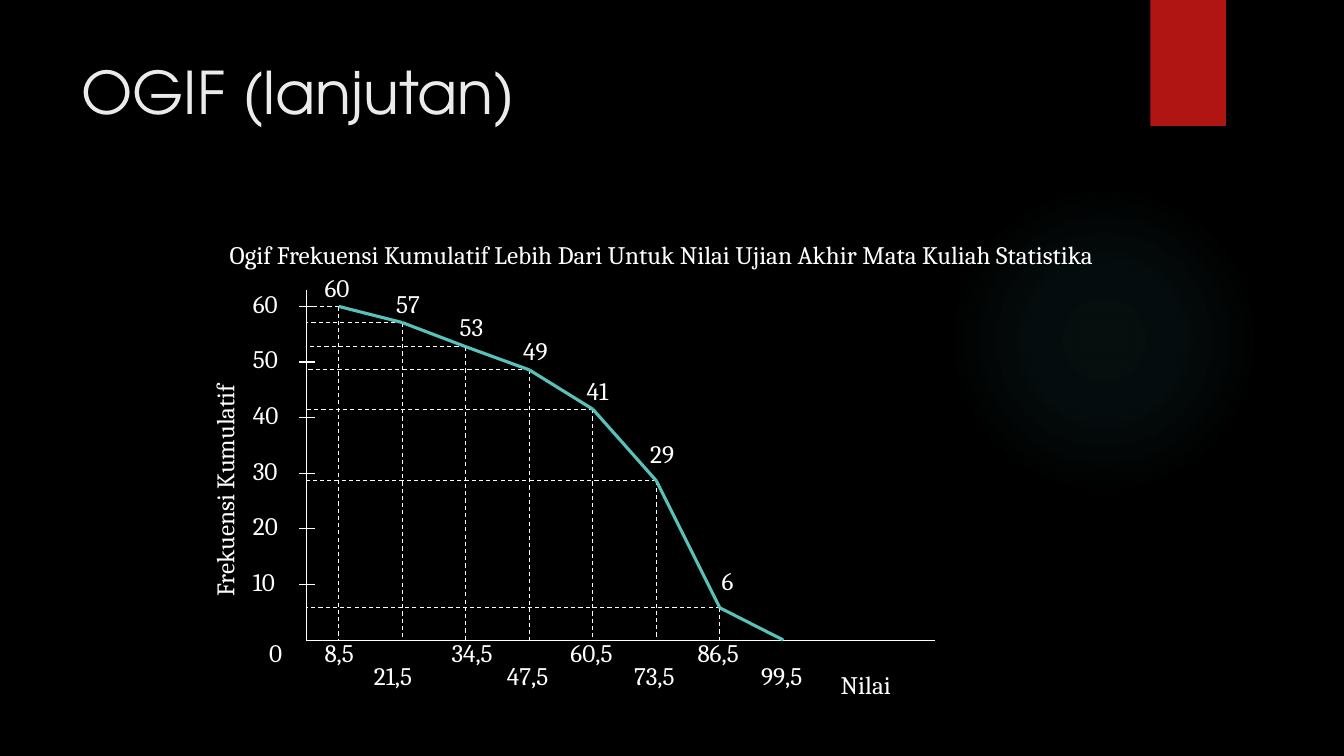
from itertools import pairwise

from lxml import etree
from pptx import Presentation
from pptx.dml.color import RGBColor
from pptx.enum import dml, shapes, text
from pptx.oxml import parse_xml
from pptx.oxml.ns import nsdecls, qn
from pptx.util import Inches, Pt

BLACK = RGBColor(0x00, 0x00, 0x00)
WHITE = RGBColor(0xFF, 0xFF, 0xFF)
PALE = RGBColor(0xEB, 0xEB, 0xEB)
RED = RGBColor(0xB0, 0x15, 0x13)
TEAL = RGBColor(0x58, 0xC1, 0xBA)
GLOW = RGBColor(0x50, 0xB9, 0xC1)

AXIS_X, AXIS_Y = 3.04, 6.35
FIRST_X, STEP_X = 3.36, 0.63
TICK_GAP = 3.31 / 6
LABEL_H = 0.4

POINTS = [
    ("60", 3.04, 3.12, 2.65),
    ("57", 3.20, 3.83, 2.81),
    ("53", 3.44, 4.46, 3.04),
    ("49", 3.67, 5.09, 3.28),
    ("41", 4.06, 5.72, 3.67),
    ("29", 4.77, 6.35, 4.30),
    ("6", 6.03, 7.06, 5.56),
]
BOUNDS = [("8,5", 3.12), ("21,5", 3.61), ("34,5", 4.38), ("47,5", 4.93),
          ("60,5", 5.56), ("73,5", 6.19), ("86,5", 6.82), ("99,5", 7.45)]


def format_run(r, font="Cambria", size=18, color=WHITE):
    r.font.name = font
    r.font.size = Pt(size)
    r.font.color.rgb = color


class Slide:
    def __init__(self, prs):
        self.s = prs.slides.add_slide(prs.slide_layouts[6])
        self.s.background.fill.solid()
        self.s.background.fill.fore_color.rgb = BLACK

    def shape(self, kind, x, y, w, h, color):
        sp = self.s.shapes.add_shape(kind, Inches(x), Inches(y), Inches(w), Inches(h))
        sp.shadow.inherit = False
        sp.fill.solid()
        sp.fill.fore_color.rgb = color
        sp.line.fill.background()
        return sp

    def glow(self, x, y, size, color, stops):
        sp = self.shape(shapes.MSO_SHAPE.OVAL, x, y, size, size, color)
        gs = "".join(
            f'<a:gs pos="{pos * 1000}"><a:srgbClr val="{color}">'
            f'<a:alpha val="{alpha * 1000}"/></a:srgbClr></a:gs>'
            for pos, alpha in stops)
        grad = parse_xml(
            f'<a:gradFill {nsdecls("a")}><a:gsLst>{gs}</a:gsLst><a:path path="circle">'
            '<a:fillToRect l="50000" t="50000" r="50000" b="50000"/></a:path></a:gradFill>')
        pr = sp.element.spPr
        pr.replace(pr.find(qn("a:solidFill")), grad)

    def line(self, x1, y1, x2, y2, color=WHITE, width=0.75, dashed=False):
        sp = self.s.shapes.add_connector(
            shapes.MSO_CONNECTOR.STRAIGHT, Inches(x1), Inches(y1), Inches(x2), Inches(y2))
        sp.line.color.rgb = color
        sp.line.width = Pt(width)
        if dashed:
            sp.line.dash_style = dml.MSO_LINE.DASH
        etree.SubElement(sp.element.spPr, qn("a:effectLst"))

    def text(self, words, x, y, w, h=LABEL_H, wrap=False, rotation=0, **style):
        sp = self.s.shapes.add_textbox(Inches(x), Inches(y), Inches(w), Inches(h))
        sp.rotation = rotation
        tf = sp.text_frame
        tf.word_wrap = wrap
        tf.auto_size = (text.MSO_AUTO_SIZE.NONE if wrap
                        else text.MSO_AUTO_SIZE.SHAPE_TO_FIT_TEXT)
        r = tf.paragraphs[0].add_run()
        r.text = words
        format_run(r, **style)


prs = Presentation()
prs.slide_width, prs.slide_height = Inches(13.33), Inches(7.5)
s = Slide(prs)

s.glow(9.41, 1.83, 3.08, GLOW, [(0, 7), (36, 6), (69, 0), (100, 0)])
s.shape(shapes.MSO_SHAPE.RECTANGLE, 11.41, 0, 0.75, 1.25, RED)
s.text("OGIF (lanjutan)", 0.71, 0.5, 10.29, 1.53, wrap=True,
       font="TeX Gyre Adventor", size=42, color=PALE)
s.text("Ogif Frekuensi Kumulatif Lebih Dari Untuk Nilai Ujian Akhir Mata Kuliah Statistika",
       2.18, 2.33, 10.31)

s.line(AXIS_X, 2.88, AXIS_X, AXIS_Y)
s.line(AXIS_X, AXIS_Y, 9.27, AXIS_Y)
s.text("0", 2.57, 6.27, 0.34)
for i in range(1, 7):
    y = AXIS_Y - i * TICK_GAP
    s.line(2.97, y, 3.12, y)
    s.text(str(i * 10), 2.41, y - 0.23, 0.48)
s.text("Frekuensi Kumulatif", 0.89, 4.48, 2.67, rotation=270)
s.text("Nilai", 8.24, 6.59, 0.78)

for i, (bound, x) in enumerate(BOUNDS):
    s.text(bound, x, 6.5 if i % 2 else 6.27, 0.69 if len(bound) > 3 else 0.55)

curve = [(FIRST_X + i * STEP_X, y) for i, (_, y, _, _) in enumerate(POINTS)]
for (x, y), (count, _, label_x, label_y) in zip(curve, POINTS):
    s.line(x, y, x, AXIS_Y, dashed=True)
    s.line(x, y, AXIS_X, y, dashed=True)
    s.text(count, label_x, label_y, 0.48 if len(count) > 1 else 0.34)

curve.append((FIRST_X + len(POINTS) * STEP_X, AXIS_Y))
for start, end in pairwise(curve):
    s.line(*start, *end, color=TEAL, width=2.25)

prs.save("out.pptx")
